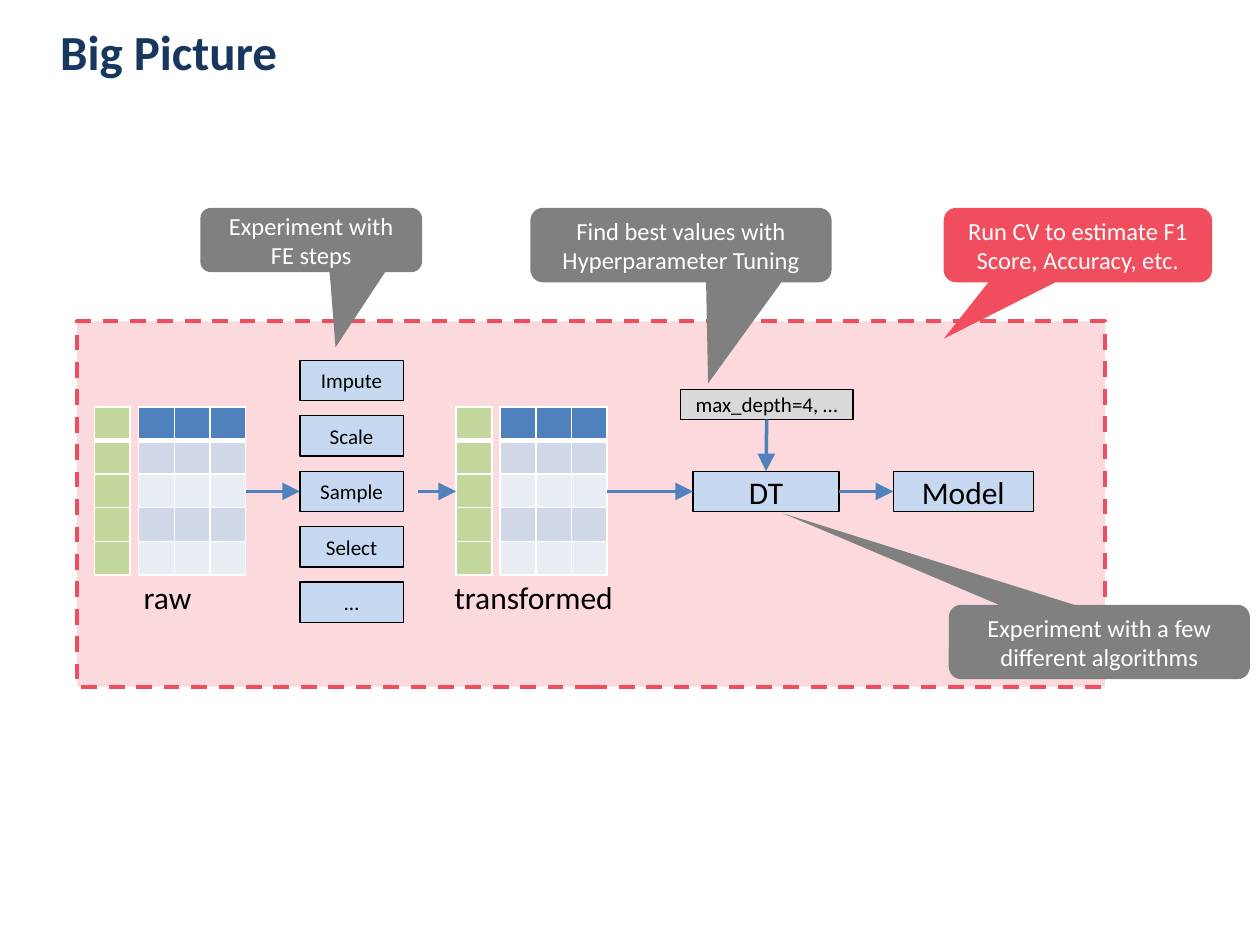
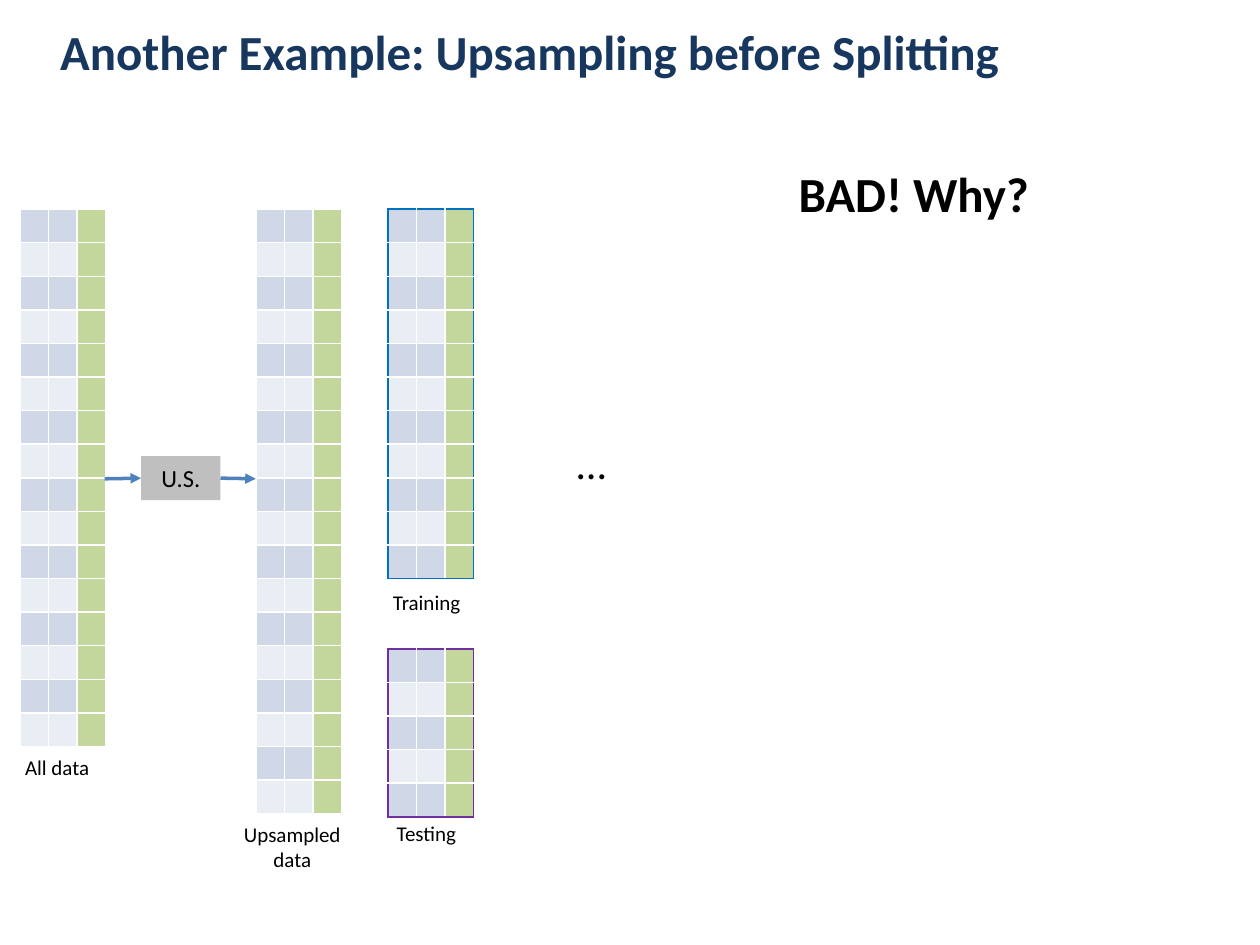
from lxml import etree
from pptx import Presentation
from pptx.dml.color import RGBColor
from pptx.enum.dml import MSO_LINE
from pptx.enum.shapes import MSO_CONNECTOR, MSO_SHAPE
from pptx.enum.text import MSO_ANCHOR, PP_ALIGN
from pptx.oxml.ns import qn
from pptx.util import Inches, Pt

RECT = MSO_SHAPE.RECTANGLE
CALLOUT = MSO_SHAPE.ROUNDED_RECTANGULAR_CALLOUT
STRAIGHT = MSO_CONNECTOR.STRAIGHT
DASH = MSO_LINE.DASH
MIDDLE, TOP = MSO_ANCHOR.MIDDLE, MSO_ANCHOR.TOP
LEFT, CENTER = PP_ALIGN.LEFT, PP_ALIGN.CENTER
TOP_SIDE, LEFT_SIDE, BOTTOM_SIDE, RIGHT_SIDE = range(4)

# The page is a grid of 10 columns and 7.5 rows of one inch each.
COLUMNS, ROWS = 10, 7.5
FONT = "Calibri"
BLACK, WHITE, NAVY = "000000", "FFFFFF", "17375E"
BLUE, PALE_BLUE, RED, GREY = "4F81BD", "C6D9F1", "F04E5E", "808080"
BANDS = ("D0D8E8", "E9EDF4")
TARGET_GREEN = "C3D69B"
TRAIN_BLUE, TEST_PURPLE = "0070C0", "7030A0"

CELL_HEIGHT = 0.8 / 3
TABLE_TOP = 1.66


def color(value):
    return RGBColor.from_string(value)


def grid(*lengths):
    return [Inches(length) for length in lengths]


def write(frame, text, size=12, ink=BLACK, bold=False, align=CENTER):
    for index, line in enumerate(text.split("\n")):
        para = frame.paragraphs[0] if index == 0 else frame.add_paragraph()
        para.alignment = align
        span = para.add_run()
        span.text = line
        style = {"name": FONT, "size": Pt(size), "bold": bold}
        for name, value in style.items():
            setattr(span.font, name, value)
        span.font.color.rgb = color(ink)


def add_text(page, place, text, wrap=False, anchor=TOP, **style):
    frame = page.shapes.add_textbox(*grid(*place)).text_frame
    layout = {"word_wrap": wrap, "vertical_anchor": anchor}
    for name, value in layout.items():
        setattr(frame, name, value)
    write(frame, text, **style)


def add_box(page, place, fill, text="", kind=RECT, edge=None, width=0.75, **style):
    box = page.shapes.add_shape(kind, *grid(*place))
    box.shadow.inherit = False
    box.fill.solid()
    box.fill.fore_color.rgb = color(fill)
    if edge:
        box.line.color.rgb = color(edge)
        box.line.width = Pt(width)
    else:
        box.line.fill.background()
    if text:
        box.text_frame.word_wrap = True
        box.text_frame.vertical_anchor = MIDDLE
        write(box.text_frame, text, **style)
    return box


def add_callout(page, place, tip, text, fill=GREY):
    """Tip is the pointer's end, as shares of the box measured from its centre."""
    box = add_box(page, place, fill, text, CALLOUT, size=14, ink=WHITE)
    for index, share in enumerate(tip):
        box.adjustments[index] = share


def add_arrow(page, start, end, source=None, target=None, head="lg"):
    """Source and target are optional (box, side) pairs to join."""
    arrow = page.shapes.add_connector(STRAIGHT, *grid(*start, *end))
    if source:
        arrow.begin_connect(*source)
    if target:
        arrow.end_connect(*target)
    arrow.line.color.rgb = color(BLUE)
    arrow.line.width = Pt(2)
    line = arrow.line._get_or_add_ln()
    etree.SubElement(line, qn("a:tailEnd"), type="triangle", w=head, len=head)
    etree.SubElement(arrow._element.spPr, qn("a:effectLst"))


def set_border(cell, side, ink, width):
    line = etree.SubElement(cell._tc.get_or_add_tcPr(), qn("a:ln" + side),
                            w=str(Pt(width)))
    fill = etree.SubElement(line, qn("a:solidFill"))
    etree.SubElement(fill, qn("a:srgbClr"), val=ink)


def add_table(page, left, top, width, fills, outline=WHITE, head_rule=1):
    """Fills holds one list of cell colours for each row."""
    rows, columns = len(fills), len(fills[0])
    table = page.shapes.add_table(
        rows, columns, *grid(left, top, width, rows * CELL_HEIGHT)).table
    table.first_row = table.horz_banding = False
    for r, row in enumerate(fills):
        for c, fill in enumerate(row):
            cell = table.cell(r, c)
            for side in ("left", "right", "top", "bottom"):
                setattr(cell, "margin_" + side, 0)
            outer = {"L": c == 0, "R": c == columns - 1,
                     "T": r == 0, "B": r == rows - 1}
            for side, is_outer in outer.items():
                under_head = (r, side) in ((0, "B"), (1, "T"))
                set_border(cell, side, outline if is_outer else WHITE,
                           head_rule if under_head else 1)
            cell.fill.solid()
            cell.fill.fore_color.rgb = color(fill)
            etree.SubElement(cell.text_frame.paragraphs[0]._p,
                             qn("a:endParaRPr"), sz="800")


def add_features_and_target(page, left):
    top, cell_width = 3.23, 0.85 / 3
    features = [[BLUE] * 3] + [[BANDS[r % 2]] * 3 for r in range(4)]
    add_table(page, left, top, cell_width, [[TARGET_GREEN]] * 5, head_rule=3)
    add_table(page, left + 0.35, top, 3 * cell_width, features, head_rule=3)


def add_data_table(page, left, top, rows, outline=WHITE):
    fills = [[BANDS[r % 2]] * 2 + [TARGET_GREEN] for r in range(rows)]
    add_table(page, left, top, 0.68, fills, outline)


def add_page(deck, title):
    page = deck.slides.add_slide(deck.slide_layouts[6])
    add_text(page, (0.38, 0.05, 8.2, 0.71), title, wrap=True, anchor=MIDDLE,
             size=28, ink=NAVY, bold=True, align=LEFT)
    return page


def build_big_picture(deck):
    page = add_page(deck, "Big Picture")
    axis = 3.9
    scope = add_box(page, (0.61, 2.55, 8.16, 2.9), RED, edge=RED, width=2.25)
    scope.line.dash_style = DASH
    tint = scope._element.spPr.find(qn("a:solidFill"))[0]
    etree.SubElement(tint, qn("a:alpha"), val="21000")

    add_features_and_target(page, 0.75)
    add_features_and_target(page, 3.62)
    add_text(page, (1.01, 4.54, 0.64, 0.4), "raw", size=18)
    add_text(page, (3.5, 4.54, 1.47, 0.4), "transformed", size=18)

    steps = {}
    for index, name in enumerate(("Impute", "Scale", "Sample", "Select", "…")):
        place = (2.38, 2.86 + 0.44 * index, 0.82, 0.32)
        steps[name] = add_box(page, place, PALE_BLUE, name, edge=BLACK)
    tree = add_box(page, (5.5, 3.74, 1.16, 0.32), PALE_BLUE, "DT", edge=BLACK, size=18)
    model = add_box(page, (7.09, 3.74, 1.11, 0.32), PALE_BLUE, "Model",
                    edge=BLACK, size=18)
    settings = add_box(page, (5.4, 3.09, 1.37, 0.24), "D9D9D9", "max_depth=4, …",
                       edge=BLACK)

    add_arrow(page, (1.95, axis), (2.38, axis), target=(steps["Sample"], LEFT_SIDE))
    add_arrow(page, (3.32, axis), (3.62, axis))
    add_arrow(page, (4.82, axis), (5.5, axis), target=(tree, LEFT_SIDE))
    add_arrow(page, (6.66, axis), (7.09, axis), (tree, RIGHT_SIDE), (model, LEFT_SIDE))
    add_arrow(page, (6.08, 3.33), (6.08, 3.74),
              (settings, BOTTOM_SIDE), (tree, TOP_SIDE))

    add_callout(page, (7.49, 1.65, 2.13, 0.59), (-0.5, 1.26),
                "Run CV to estimate F1 Score, Accuracy, etc.", RED)
    add_callout(page, (4.21, 1.65, 2.39, 0.59), (0.09, 1.86),
                "Find best values with Hyperparameter Tuning")
    add_callout(page, (7.53, 4.8, 2.39, 0.59), (-1.05, -1.73),
                "Experiment with a few different algorithms")
    add_callout(page, (1.59, 1.65, 1.76, 0.51), (0.11, 1.67),
                "Experiment with FE steps")


def build_upsampling(deck):
    page = add_page(deck, "Another Example: Upsampling before Splitting")
    axis = 3.8
    add_data_table(page, 0.16, TABLE_TOP, 16)
    add_data_table(page, 2.03, TABLE_TOP, 18)
    add_data_table(page, 3.08, 5.15, 5, TEST_PURPLE)
    add_data_table(page, 3.08, TABLE_TOP, 11, TRAIN_BLUE)

    add_text(page, (0.1, 5.94, 0.72, 0.3), "All data", align=LEFT)
    add_text(page, (1.83, 6.47, 0.98, 0.5), "Upsampled\ndata")
    add_text(page, (3.02, 4.63, 0.74, 0.3), "Training", align=LEFT)
    add_text(page, (3.05, 6.46, 0.68, 0.3), "Testing", align=LEFT)

    upsampler = add_box(page, (1.12, 3.62, 0.63, 0.35), "BFBFBF", "U.S.", size=14)
    add_arrow(page, (0.83, axis), (1.12, axis),
              target=(upsampler, LEFT_SIDE), head="med")
    add_arrow(page, (1.75, axis), (2.03, axis),
              source=(upsampler, RIGHT_SIDE), head="med")

    add_text(page, (4.48, 3.42, 1.25, 0.5), "…", wrap=True, size=24, align=LEFT)
    add_text(page, (6.24, 1.25, 2.05, 0.57), "BAD! Why?",
             size=28, bold=True, align=LEFT)


def main():
    deck = Presentation()
    deck.slide_width, deck.slide_height = grid(COLUMNS, ROWS)
    build_big_picture(deck)
    build_upsampling(deck)
    deck.save("out.pptx")


if __name__ == "__main__":
    main()
